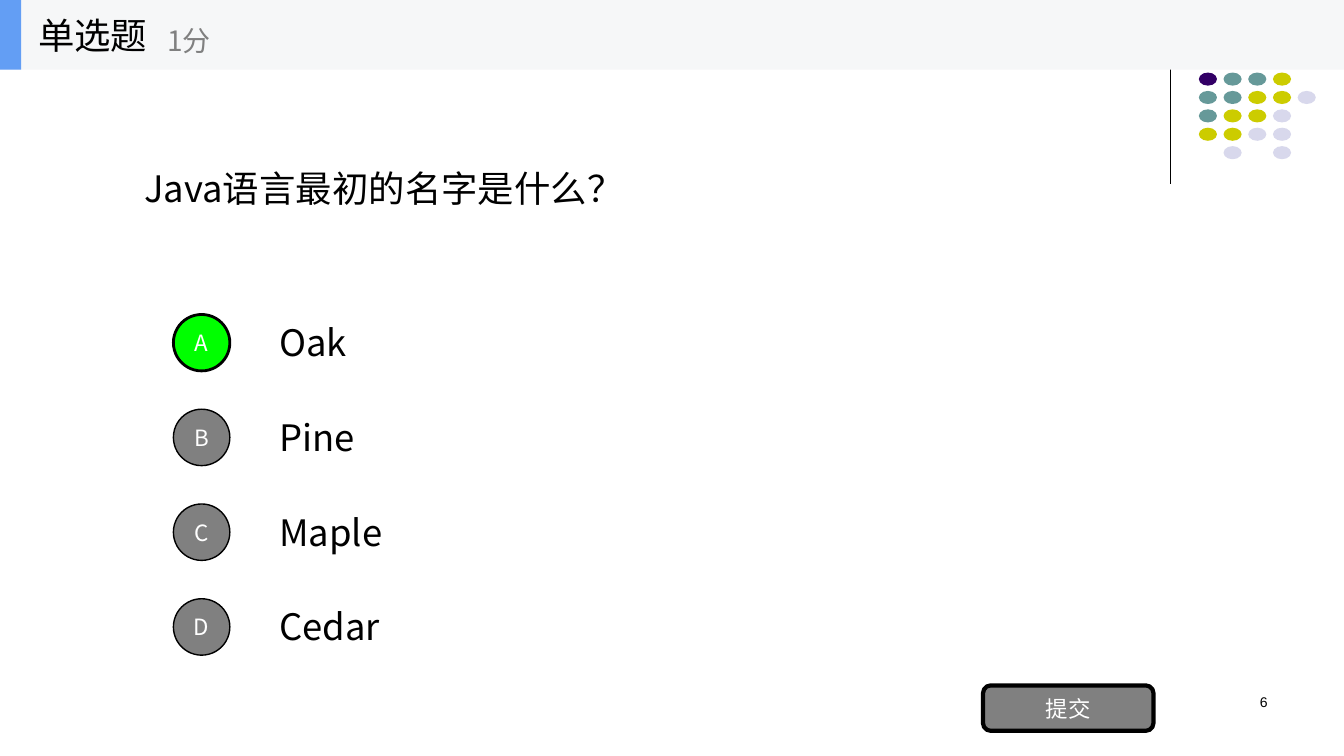
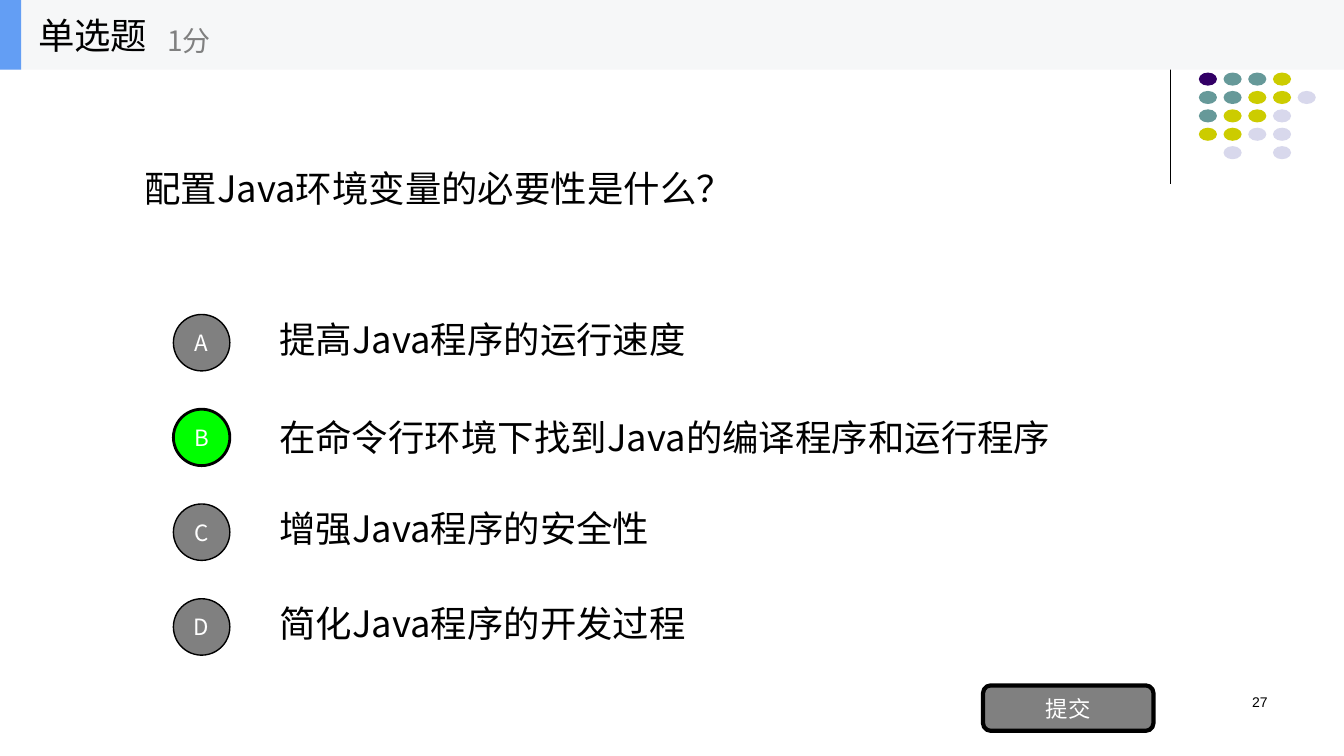
"""Build two single-choice quiz slides with a shared header band and dot ornament."""
import pptx
import pptx.dml.color
import pptx.enum.shapes
import pptx.enum.text
import pptx.oxml
import pptx.oxml.ns
import pptx.util

RGB = pptx.dml.color.RGBColor
SHAPE = pptx.enum.shapes.MSO_SHAPE
ALIGN = pptx.enum.text.PP_ALIGN
ANCHOR = pptx.enum.text.MSO_ANCHOR
FIT = pptx.enum.text.MSO_AUTO_SIZE

BLACK = RGB(0x00, 0x00, 0x00)
WHITE = RGB(0xFF, 0xFF, 0xFF)
GRAY = RGB(0x80, 0x80, 0x80)
GREEN = RGB(0x00, 0xFF, 0x00)
BAND = RGB(0xF6, 0xF7, 0xF8)
BLUE = RGB(0x63, 0x9E, 0xF4)
DOT_COLORS = {
    "P": RGB(0x33, 0x00, 0x66),
    "T": RGB(0x66, 0x99, 0x99),
    "Y": RGB(0xCC, 0xCC, 0x00),
    "L": RGB(0xD8, 0xD8, 0xEC),
}

BODY_FONT = "Noto Sans CJK SC"
NUMBER_FONT = "Arial"
WIDTH, HEIGHT = 13.33, 7.5
BAND_HEIGHT = 0.69
OPTION_TOP, OPTION_PITCH = 3.12, 0.94
BADGE = 0.56
LINE_HEIGHT = 0.53
WRAPPED_SPACING = 0.83

DOT_ROWS = ["PTTY.", "TTYYL", "TYYL.", "YYLL.", ".L.L."]
KIND, SCORE, SUBMIT = "单选题", "1分", "提交"
QUESTIONS = [
    {
        "number": "6",
        "question": ("Java语言最初的名字是什么？", 5),
        "answer": "A",
        "options": [("Oak", 1, 1), ("Pine", 1.05, 1), ("Maple", 1.39, 1), ("Cedar", 1.32, 1)],
    },
    {
        "number": "27",
        "question": ("配置Java环境变量的必要性是什么？", 6.08),
        "answer": "B",
        "options": [
            ("提高Java程序的运行速度", 4.28, 2),
            ("在命令行环境下找到Java的编译程序和运行程序", 8.51, 1),
            ("增强Java程序的安全性", 3.92, 2),
            ("简化Java程序的开发过程", 4.28, 2),
        ],
    },
]


def box(*lengths):
    """Convert lengths in inches."""
    return [pptx.util.Inches(length) for length in lengths]


def write(shape, text, size, color=BLACK, align=ALIGN.LEFT, anchor=ANCHOR.MIDDLE, font=BODY_FONT):
    """Put one formatted line of text into a shape."""
    frame = shape.text_frame
    frame.text = text
    frame.word_wrap = True
    frame.vertical_anchor = anchor
    paragraph = frame.paragraphs[0]
    paragraph.alignment = align
    run = paragraph.runs[0]
    run.font.size = pptx.util.Pt(size)
    run.font.color.rgb = color
    run.font.name = font
    east_asian = pptx.oxml.parse_xml(f'<a:ea {pptx.oxml.ns.nsdecls("a")} typeface="{font}"/>')
    run.font._element.append(east_asian)
    return frame


def add_text(slide, at, text, size, **style):
    """Add a text box."""
    return write(slide.shapes.add_textbox(*box(*at)), text, size, **style)


def add_filled(slide, preset, at, fill, outline=0):
    """Add a flat shape, with a black outline if a width is given."""
    shape = slide.shapes.add_shape(preset, *box(*at))
    shape.shadow.inherit = False
    shape.fill.solid()
    shape.fill.fore_color.rgb = fill
    if outline:
        shape.line.color.rgb = BLACK
        shape.line.width = pptx.util.Pt(outline)
    else:
        shape.line.fill.background()
    return shape


def add_button(slide, preset, at, label, fill, outline):
    """Add a shape with a white centred label."""
    button = add_filled(slide, preset, at, fill, outline)
    frame = write(button, label, 16, color=WHITE, align=ALIGN.CENTER)
    frame.margin_left = frame.margin_right = frame.margin_top = frame.margin_bottom = 0


def decorate_layout(layout, slide):
    """Draw the rule and the dots, then hand them to the layout."""
    rule = slide.shapes.add_connector(
        pptx.enum.shapes.MSO_CONNECTOR.STRAIGHT, *box(11.61, 0.17, 11.61, 1.83))
    rule.line.color.rgb = BLACK
    rule.line.width = pptx.util.Pt(0.75)
    rule._element.spPr.append(pptx.oxml.parse_xml(f'<a:effectLst {pptx.oxml.ns.nsdecls("a")}/>'))
    ornament = [rule]
    for row, codes in enumerate(DOT_ROWS):
        for column, code in enumerate(codes):
            if code in DOT_COLORS:
                at = (11.89 + column * 0.98 / 4, 0.72 + row * 0.73 / 4, 0.18, 0.13)
                ornament.append(add_filled(slide, SHAPE.OVAL, at, DOT_COLORS[code]))
    for part in ornament:
        layout.shapes._spTree.append(part._element)


def add_header(slide):
    """Add the band with the question kind and the score."""
    add_filled(slide, SHAPE.RECTANGLE, (0, 0, WIDTH, BAND_HEIGHT), BAND)
    add_filled(slide, SHAPE.RECTANGLE, (0, 0, 0.21, BAND_HEIGHT), BLUE)
    add_text(slide, (0.28, 0, 2.08, BAND_HEIGHT), KIND, 26)
    add_text(slide, (1.56, 0.12, 2.5, 0.56), SCORE, 20, color=GRAY)


def fill_slide(slide, quiz):
    """Place the question, its options, the button and the page number."""
    text, width = quiz["question"]
    title = slide.shapes.title
    title.left, title.top, title.width, title.height = box(1.33, 1.6, width, LINE_HEIGHT)
    write(title, text, 26).auto_size = FIT.SHAPE_TO_FIT_TEXT
    for index, (option, width, lines) in enumerate(quiz["options"]):
        letter = "ABCD"[index]
        correct = letter == quiz["answer"]
        top = OPTION_TOP + index * OPTION_PITCH
        frame = add_text(slide, (2.67, top + 0.01, width, LINE_HEIGHT), option, 26)
        frame.auto_size = FIT.SHAPE_TO_FIT_TEXT
        if lines > 1:
            frame.paragraphs[0].line_spacing = WRAPPED_SPACING
        add_button(slide, SHAPE.OVAL, (1.72, top, BADGE, BADGE), letter,
                   GREEN if correct else GRAY, 2 if correct else 1)
    add_button(slide, SHAPE.ROUNDED_RECTANGLE, (9.75, 6.8, 1.69, 0.45), SUBMIT, GRAY, 3)
    add_text(slide, (9.56, 6.83, 3.11, 0.5), quiz["number"], 10,
             align=ALIGN.RIGHT, anchor=ANCHOR.TOP, font=NUMBER_FONT)
    add_header(slide)


def main():
    """Build and save the deck."""
    deck = pptx.Presentation()
    deck.slide_width, deck.slide_height = box(WIDTH, HEIGHT)
    layout = deck.slide_layouts[5]
    slides = [deck.slides.add_slide(layout) for _ in QUESTIONS]
    decorate_layout(layout, slides[0])
    for slide, quiz in zip(slides, QUESTIONS):
        fill_slide(slide, quiz)
    deck.save("out.pptx")


if __name__ == "__main__":
    main()
